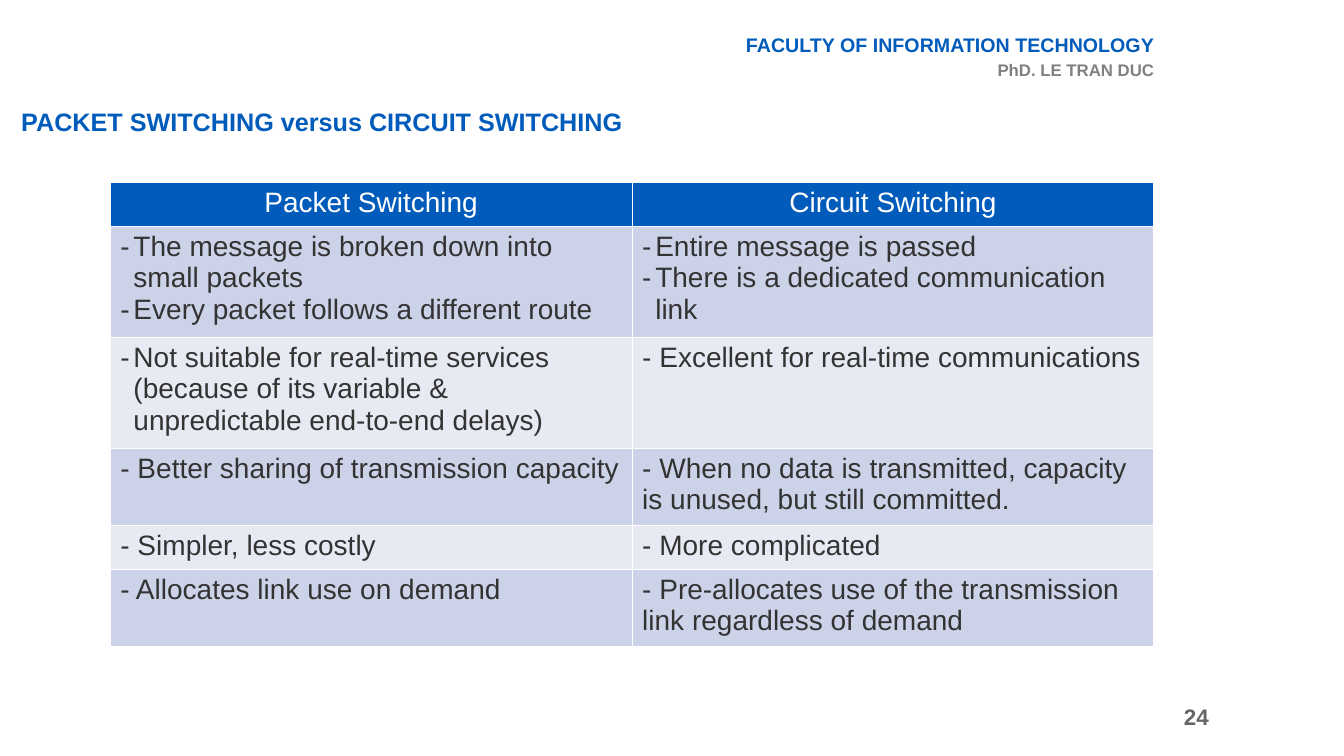
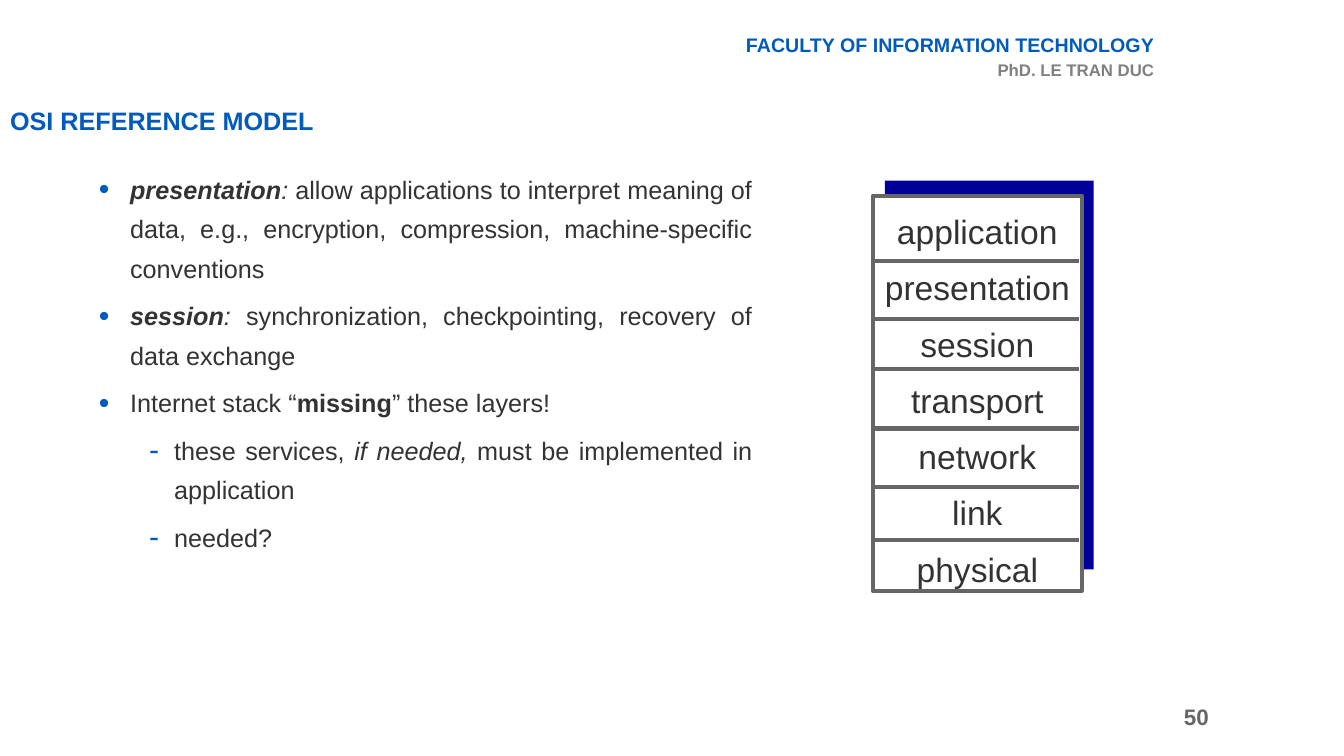
from lxml.etree import SubElement
from pptx import Presentation
from pptx.dml.color import RGBColor
from pptx.enum.shapes import MSO_CONNECTOR, MSO_SHAPE
from pptx.enum.text import MSO_ANCHOR, MSO_AUTO_SIZE, PP_ALIGN
from pptx.oxml.ns import qn
from pptx.util import Cm, Pt

BLUE = RGBColor(0x00, 0x5B, 0xBB)
NAVY = RGBColor(0x00, 0x00, 0x99)
DARK = RGBColor(0x33, 0x33, 0x33)
GRAY = RGBColor(0x66, 0x66, 0x66)
LIGHT_GRAY = RGBColor(0x80, 0x80, 0x80)
WHITE = RGBColor(0xFF, 0xFF, 0xFF)
BANDS = (RGBColor(0xCC, 0xD2, 0xE7), RGBColor(0xE7, 0xEA, 0xF3))


def style(paragraph, size, color, bold=False, align=PP_ALIGN.LEFT):
    paragraph.alignment = align
    font = paragraph.font
    font.name = "Arial"
    font.size = Pt(size)
    font.bold = bold
    font.color.rgb = color


def add_bullet(paragraph, character, left, hanging, color=None):
    properties = paragraph._p.get_or_add_pPr()
    properties.set("marL", str(left))
    properties.set("indent", str(-hanging))
    if color is not None:
        bullet_color = SubElement(properties, qn("a:buClr"))
        SubElement(bullet_color, qn("a:srgbClr"), val=str(color))
        SubElement(properties, qn("a:buSzPct"), val="120000")
    SubElement(properties, qn("a:buFont"), typeface="Arial")
    SubElement(properties, qn("a:buChar"), char=character)


presentation = Presentation()
presentation.slide_width = Cm(33.87)
presentation.slide_height = Cm(19.05)

slides = []
for title_text, number, left, top, width in (
    ("PACKET SWITCHING versus CIRCUIT SWITCHING", "24", 0.28, 2.64, 19.3),
    ("OSI REFERENCE MODEL", "50", 0, 2.62, 16.18),
):
    slide = presentation.slides.add_slide(presentation.slide_layouts[5])
    slides.append(slide)

    title = slide.shapes.title
    title.left, title.top, title.width, title.height = Cm(left), Cm(top), Cm(width), Cm(1.04)
    title.text_frame.text = title_text
    title.text_frame.vertical_anchor = MSO_ANCHOR.TOP
    title.text_frame.auto_size = MSO_AUTO_SIZE.NONE
    title.text_frame.paragraphs[0].line_spacing = 0.9
    style(title.text_frame.paragraphs[0], 18, BLUE, bold=True)

    header = slide.shapes.add_textbox(Cm(17.86), Cm(0.71), Cm(11.48), Cm(1.45)).text_frame
    header.word_wrap = True
    header.text = "FACULTY OF INFORMATION TECHNOLOGY\nPhD. LE TRAN DUC"
    for paragraph, size, color in zip(header.paragraphs, (14, 12), (BLUE, LIGHT_GRAY)):
        paragraph.space_before = paragraph.space_after = Pt(1)
        style(paragraph, size, color, bold=True, align=PP_ALIGN.RIGHT)

    footer = slide.shapes.add_textbox(Cm(19.28), Cm(17.55), Cm(11.43), Cm(1.02)).text_frame
    footer.word_wrap = True
    footer.vertical_anchor = MSO_ANCHOR.MIDDLE
    footer.text = number
    style(footer.paragraphs[0], 16, GRAY, bold=True, align=PP_ALIGN.RIGHT)

switching_slide, osi_slide = slides

HEADINGS = ("Packet Switching", "Circuit Switching")
BULLETED_ROWS = (
    (
        "The message is broken down into small packets\nEvery packet follows a different route",
        "Entire message is passed\nThere is a dedicated communication link",
    ),
    (
        "Not suitable for real-time services (because of its variable & unpredictable end-to-end delays)",
        "- Excellent for real-time communications",
    ),
)
PLAIN_ROWS = (
    (
        "- Better sharing of transmission capacity",
        "- When no data is transmitted, capacity is unused, but still committed.",
    ),
    ("- Simpler, less costly", "- More complicated"),
    (
        "- Allocates link use on demand",
        "- Pre-allocates use of the transmission link regardless of demand",
    ),
)
rows = (HEADINGS, *BULLETED_ROWS, *PLAIN_ROWS)
table = switching_slide.shapes.add_table(
    len(rows), 2, Cm(2.78), Cm(4.6), Cm(26.3), Cm(1.04 * len(rows))
).table
for row_index, row in enumerate(rows):
    is_heading = row_index == 0
    for column_index, text in enumerate(row):
        cell = table.cell(row_index, column_index)
        cell.text = text
        cell.fill.solid()
        cell.fill.fore_color.rgb = BLUE if is_heading else BANDS[(row_index - 1) % 2]
        for paragraph in cell.text_frame.paragraphs:
            if row in BULLETED_ROWS and not text.startswith("-"):
                add_bullet(paragraph, "-", Cm(0.33), Cm(0.33))
            if is_heading:
                style(paragraph, 20, WHITE, align=PP_ALIGN.CENTER)
            else:
                style(paragraph, 20, DARK)

POINTS = (
    (0, (
        ("presentation", True, True),
        (":", False, True),
        (" allow applications to interpret meaning of data, e.g., encryption, compression, "
         "machine-specific conventions", False, False),
    )),
    (0, (
        ("session", True, True),
        (":", False, True),
        (" synchronization, checkpointing, recovery of data exchange", False, False),
    )),
    (0, (
        ("Internet stack “", False, False),
        ("missing", True, False),
        ("” these layers!", False, False),
    )),
    (1, (
        ("these services, ", False, False),
        ("if needed,", False, True),
        (" must be implemented in application", False, False),
    )),
    (1, (("needed?", False, False),)),
)
BULLETS = (("•", Cm(0.79), Cm(0.79)), ("-", Cm(1.9), Cm(0.63)))
body = osi_slide.shapes.add_textbox(Cm(2.24), Cm(4.04), Cm(16.97), Cm(12.9)).text_frame
body.word_wrap = True
for index, (level, runs) in enumerate(POINTS):
    paragraph = body.add_paragraph() if index else body.paragraphs[0]
    paragraph.level = level
    paragraph.line_spacing = 1.3
    paragraph.space_before = Pt(6)
    add_bullet(paragraph, *BULLETS[level], color=BLUE)
    style(paragraph, 18, DARK, align=PP_ALIGN.JUSTIFY)
    for text, bold, italic in runs:
        run = paragraph.add_run()
        run.text = text
        run.font.bold = bold
        run.font.italic = italic

backdrop = osi_slide.shapes.add_shape(
    MSO_SHAPE.RECTANGLE, Cm(22.3), Cm(4.55), Cm(5.26), Cm(9.8)
)
backdrop.shadow.inherit = False
backdrop.fill.solid()
backdrop.fill.fore_color.rgb = NAVY
backdrop.line.fill.background()

LAYERS = ("application", "presentation", "session", "transport", "network", "link", "physical")
stack = osi_slide.shapes.add_shape(
    MSO_SHAPE.RECTANGLE, Cm(22), Cm(4.93), Cm(5.26), Cm(9.96)
)
stack.shadow.inherit = False
stack.fill.solid()
stack.fill.fore_color.rgb = WHITE
stack.line.color.rgb = GRAY
stack.line.width = Pt(3)
layers = stack.text_frame
layers.margin_left = layers.margin_right = layers.margin_top = 0
layers.margin_bottom = Cm(0.05)
layers.vertical_anchor = MSO_ANCHOR.BOTTOM
layers.text = "\n".join(LAYERS)
for paragraph in layers.paragraphs:
    paragraph.line_spacing = Pt(40.2)
    style(paragraph, 24, DARK, align=PP_ALIGN.CENTER)

for divider_top in (6.58, 8.03, 9.3, 10.8, 12.27, 13.61):
    divider = osi_slide.shapes.add_connector(
        MSO_CONNECTOR.STRAIGHT, Cm(21.95), Cm(divider_top), Cm(27.2), Cm(divider_top)
    )
    divider.line.color.rgb = GRAY
    divider.line.width = Pt(3)
    SubElement(divider._element.spPr, qn("a:effectLst"))

presentation.save("out.pptx")
